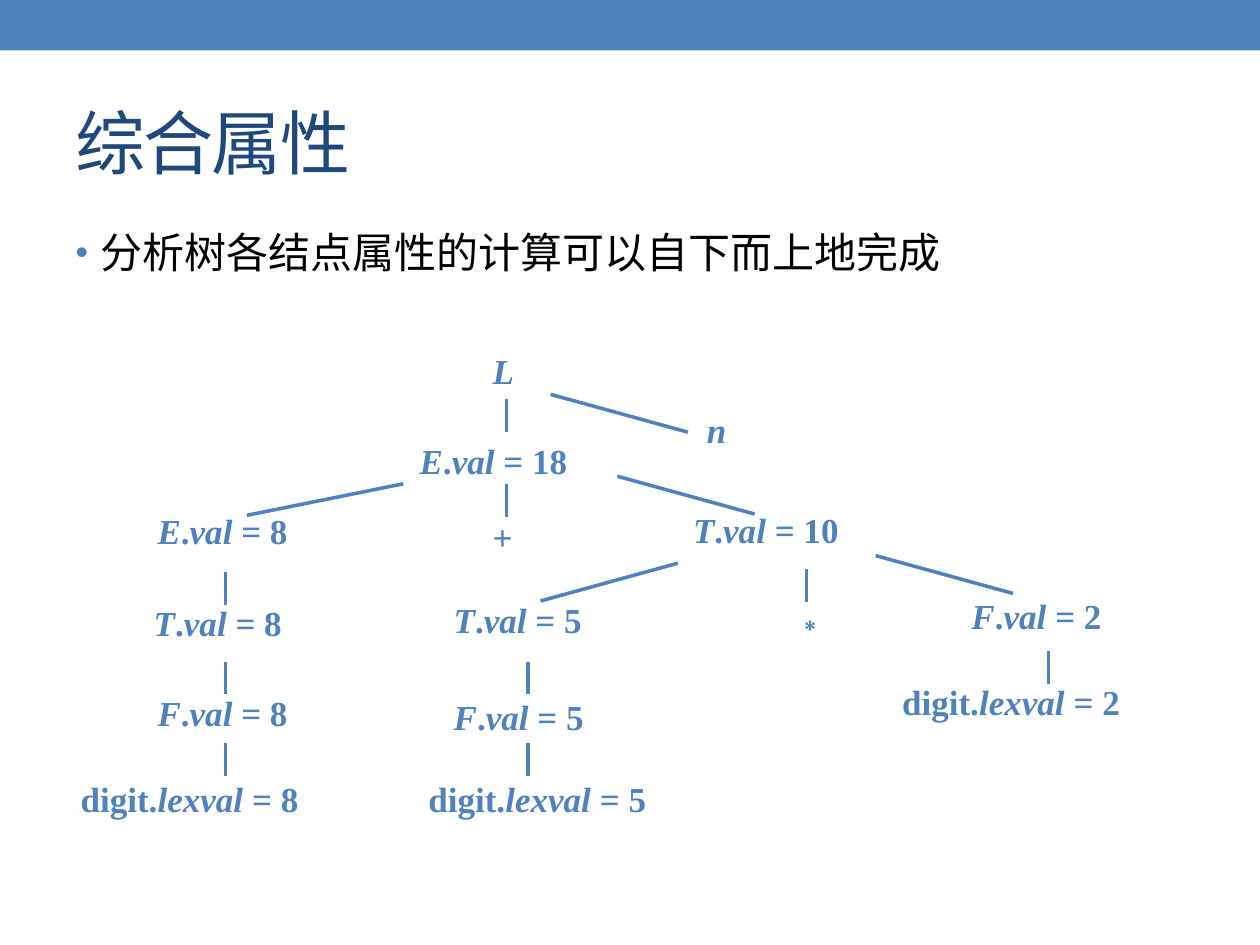
from dataclasses import dataclass

from lxml.etree import SubElement
from pptx import Presentation
from pptx.dml.color import RGBColor
from pptx.enum.shapes import MSO_CONNECTOR as Connector, MSO_SHAPE as Shape
from pptx.enum.text import MSO_ANCHOR as Anchor, PP_ALIGN as Align
from pptx.oxml.ns import qn
from pptx.util import Inches, Pt


@dataclass(frozen=True)
class Theme:
    accent: RGBColor = RGBColor(0x4F, 0x81, 0xBD)
    heading: RGBColor = RGBColor(0x1F, 0x49, 0x7D)
    ink: RGBColor = RGBColor(0, 0, 0)
    chinese: str = "Noto Sans CJK SC"
    formula: str = "Times New Roman"
    title_size: int = 40
    body_size: int = 24
    node_size: int = 20
    edge_width: int = 2


@dataclass(frozen=True)
class Node:
    left: float
    top: float
    symbol: str
    attribute: str = ""
    value: str = ""
    width: float = 1.59
    height: float = 0.41


@dataclass(frozen=True)
class Edge:
    x: float
    y: float
    dx: float = 0
    dy: float = 0.26


THEME = Theme()

NODES = [
    Node(3.89, 2.76, "L", width=0.4),
    Node(5.59, 3.23, "n", width=0.4),
    Node(3.31, 3.48, "E", "val", "18"),
    Node(1.23, 4.03, "E", "val", "8"),
    Node(3.89, 4.08, "+", width=0.41),
    Node(5.48, 4.03, "T", "val", "10", height=0.43),
    Node(1.2, 4.76, "T", "val", "8"),
    Node(3.58, 4.74, "T", "val", "5"),
    Node(6.27, 4.75, "∗", width=0.41),
    Node(7.69, 4.71, "F", "val", "2"),
    Node(1.23, 5.48, "F", "val", "8"),
    Node(3.58, 5.51, "F", "val", "5"),
    Node(0.62, 6.16, "digit", "lexval", "8", 2.45, 0.43),
    Node(3.38, 6.16, "digit", "lexval", "5", 2.45, 0.43),
    Node(7.14, 5.39, "digit", "lexval", "2", 2.36, 0.43),
]

EDGES = [
    Edge(4.02, 3.17),
    Edge(4.37, 3.13, 1.09, 0.3),
    Edge(3.2, 3.84, -1.24, 0.25),
    Edge(4.02, 3.84),
    Edge(4.9, 3.78, 1.09, 0.3),
    Edge(5.38, 4.47, -1.09, 0.3),
    Edge(6.4, 4.52),
    Edge(6.95, 4.41, 1.09, 0.3),
    Edge(8.32, 5.17),
    Edge(1.79, 4.54),
    *(Edge(x, y) for x in (1.79, 4.19) for y in (5.25, 5.9)),
]


def place(target, left: float, top: float, width: float, height: float) -> None:
    target.left, target.top = Inches(left), Inches(top)
    target.width, target.height = Inches(width), Inches(height)


def style(font, name: str, size: int, color: RGBColor) -> None:
    font.name, font.size = name, Pt(size)
    font.color.rgb = color


def add_east_asian(properties) -> None:
    SubElement(properties, qn("a:ea")).set("typeface", THEME.chinese)


def fill_title(title) -> None:
    place(title, 0.5, 0.58, 9, 1.08)
    title.text_frame.vertical_anchor = Anchor.MIDDLE
    heading = title.text_frame.paragraphs[0]
    heading.alignment = Align.LEFT
    run = heading.add_run()
    run.text = "综合属性"
    style(heading.font, THEME.chinese, THEME.title_size, THEME.heading)
    properties = run._r.get_or_add_rPr()
    properties.set("spc", "-100")
    add_east_asian(properties)


def fill_body(body) -> None:
    place(body, 0.5, 1.75, 9, 5.33)
    statement = body.text_frame.paragraphs[0]
    statement.space_before = Pt(0)
    run = statement.add_run()
    run.text = "分析树各结点属性的计算可以自下而上地完成"
    properties = statement._p.get_or_add_pPr()
    properties.set("marL", str(Inches(0.2)))
    properties.set("indent", str(Inches(-0.2)))
    bullet_color = SubElement(properties, qn("a:buClr"))
    SubElement(bullet_color, qn("a:srgbClr")).set("val", str(THEME.accent))
    SubElement(properties, qn("a:buSzPct")).set("val", "85000")
    SubElement(properties, qn("a:buFont")).set("typeface", "Arial")
    SubElement(properties, qn("a:buChar")).set("char", "•")
    style(statement.font, THEME.chinese, THEME.body_size, THEME.ink)
    add_east_asian(run._r.get_or_add_rPr())


def draw_node(shapes, node: Node) -> None:
    box = shapes.add_textbox(Inches(node.left), Inches(node.top), Inches(node.width), Inches(node.height))
    frame = box.text_frame
    frame.word_wrap = True
    frame.margin_left = frame.margin_right = Inches(0.02)
    frame.margin_top = frame.margin_bottom = Inches(0.01)
    label = frame.paragraphs[0]
    label.alignment = Align.JUSTIFY
    style(label.font, THEME.formula, THEME.node_size, THEME.accent)
    label.font.bold = True
    is_variable = len(node.symbol) == 1 and node.symbol.isalpha()
    parts = [(node.symbol, is_variable)]
    if node.attribute:
        parts += [(".", False), (f"{node.attribute} ", True), (f"= {node.value}", False)]
    for text, italic in parts:
        run = label.add_run()
        run.text = text
        run.font.italic = italic


def draw_edge(shapes, edge: Edge) -> None:
    branch = shapes.add_connector(
        Connector.STRAIGHT, Inches(edge.x), Inches(edge.y),
        Inches(edge.x + edge.dx), Inches(edge.y + edge.dy))
    branch.line.color.rgb = THEME.accent
    branch.line.width = Pt(THEME.edge_width)
    SubElement(branch._element.spPr, qn("a:effectLst"))


def draw_banner(shapes) -> None:
    banner = shapes.add_shape(Shape.RECTANGLE, 0, 0, Inches(10), Inches(0.4))
    banner.shadow.inherit = False
    banner.fill.solid()
    banner.fill.fore_color.rgb = THEME.accent
    banner.line.fill.background()


def main() -> None:
    deck = Presentation()
    deck.slide_width, deck.slide_height = Inches(10), Inches(7.5)
    slide = deck.slides.add_slide(deck.slide_layouts[1])
    draw_banner(slide.shapes)
    fill_title(slide.shapes.title)
    fill_body(slide.placeholders[1])
    for edge in EDGES:
        draw_edge(slide.shapes, edge)
    for node in NODES:
        draw_node(slide.shapes, node)
    deck.save("out.pptx")


if __name__ == "__main__":
    main()
